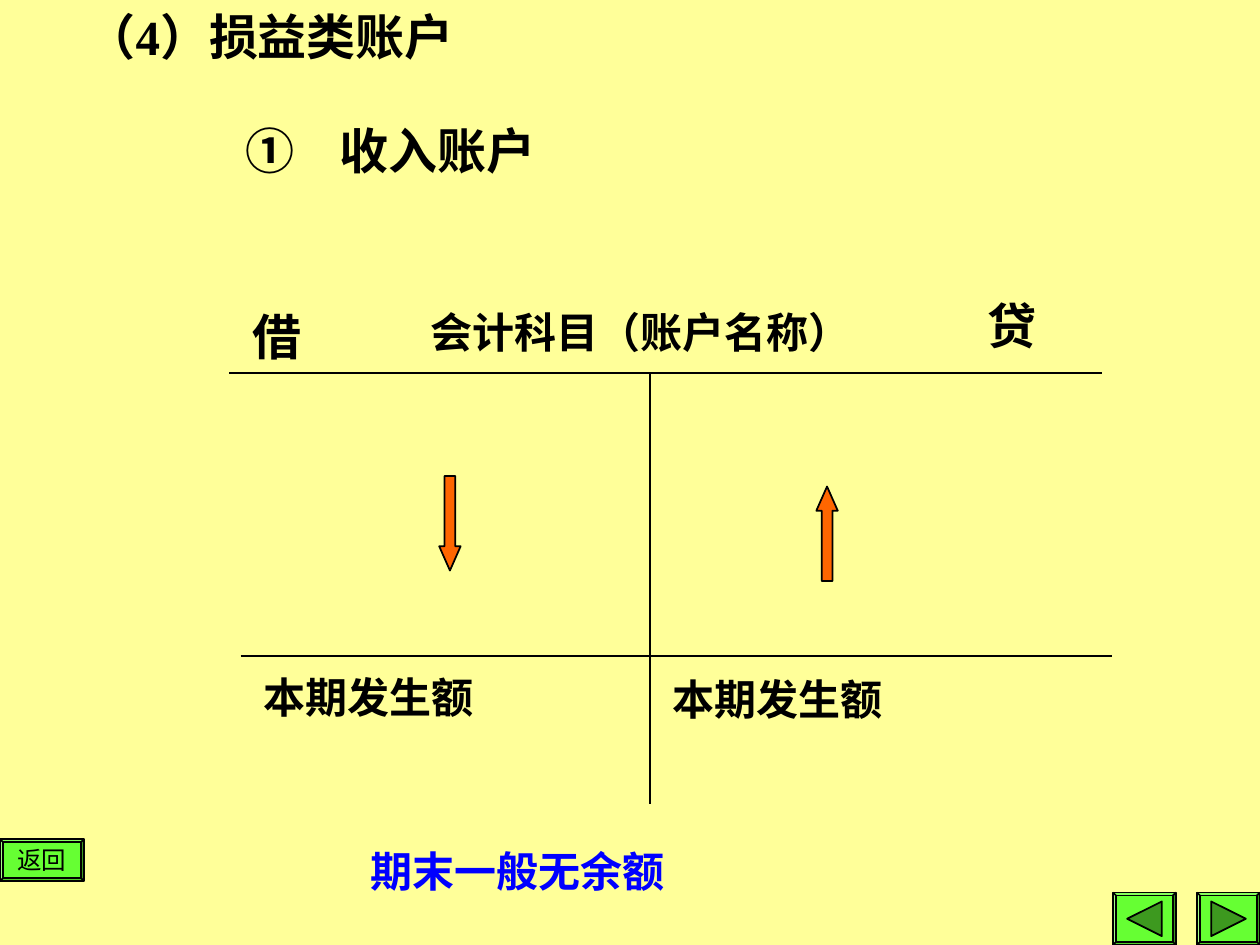
from lxml import etree
from pptx import Presentation
from pptx import util as u
from pptx.dml.color import RGBColor
from pptx.enum import shapes, text
from pptx.oxml.ns import qn

BLACK = RGBColor(0x00, 0x00, 0x00)
BLUE = RGBColor(0x00, 0x00, 0xFF)
ORANGE = RGBColor(0xFF, 0x66, 0x00)
GREEN = RGBColor(0x66, 0xFF, 0x33)
DARK_GREEN = RGBColor(0x3D, 0x99, 0x1F)
CREAM = RGBColor(0xFF, 0xFF, 0x99)
SERIF = "Times New Roman"
BEVEL_WIDTH = 1.8


def add_spans(para, *spans, size=28, color=BLACK, bold=True):
    """Add (words, font name) spans that share one format."""
    for words, name in spans:
        span = para.add_run()
        span.text = words
        span.font.name = name
        span.font.size = u.Pt(size)
        span.font.bold = bold
        span.font.color.rgb = color


def add_text(page, left, top, width, *spans, size=28, color=BLACK, indent=0, tab=None):
    box = page.shapes.add_textbox(u.Pt(left), u.Pt(top), u.Pt(width), u.Pt(size * 1.2 + 7.2))
    frame = box.text_frame
    frame.word_wrap = True
    frame.auto_size = text.MSO_AUTO_SIZE.SHAPE_TO_FIT_TEXT
    para = frame.paragraphs[0]
    properties = para._p.get_or_add_pPr()
    if indent:
        properties.set("marL", str(u.Pt(indent)))
    if tab:
        tabs = etree.SubElement(properties, qn("a:tabLst"))
        etree.SubElement(tabs, qn("a:tab"), pos=str(u.Pt(tab)), algn="l")
    add_spans(para, *spans, size=size, color=color)


def paint(shape, fill):
    shape.shadow.inherit = False
    shape.fill.solid()
    shape.fill.fore_color.rgb = fill
    shape.line.color.rgb = BLACK
    shape.line.width = u.Pt(1)


def add_line(page, x1, y1, x2, y2):
    line = page.shapes.add_connector(
        shapes.MSO_CONNECTOR.STRAIGHT, u.Pt(x1), u.Pt(y1), u.Pt(x2), u.Pt(y2))
    line.line.color.rgb = BLACK
    line.line.width = u.Pt(1)
    etree.SubElement(line._element.spPr, qn("a:effectLst"))


def add_arrow(page, kind, left, top):
    arrow = page.shapes.add_shape(kind, u.Pt(left), u.Pt(top), u.Pt(12.24), u.Pt(54))
    arrow.adjustments[0] = 0.5
    arrow.adjustments[1] = 1.13
    paint(arrow, ORANGE)


def add_button(page, left, top, width, height):
    button = page.shapes.add_shape(
        shapes.MSO_SHAPE.BEVEL, u.Pt(left), u.Pt(top), u.Pt(width), u.Pt(height))
    button.adjustments[0] = BEVEL_WIDTH / height
    paint(button, GREEN)
    return button


def add_return_button(page):
    frame = add_button(page, 0, 479.5, 48, 24).text_frame
    frame.word_wrap = False
    frame.vertical_anchor = text.MSO_ANCHOR.MIDDLE
    para = frame.paragraphs[0]
    para.alignment = text.PP_ALIGN.CENTER
    add_spans(para, ("返回", SERIF), size=14, bold=False)


def add_page_button(page, left, direction):
    """Add a button whose triangle points left (-1) or right (1)."""
    top, width, height, reach = 510, 36, 30, 9.9
    add_button(page, left, top, width, height)
    x, y = left + width / 2, top + height / 2
    back = x - direction * reach
    outline = page.shapes.build_freeform(u.Pt(x + direction * reach), u.Pt(y))
    outline.add_line_segments(
        [(u.Pt(back), u.Pt(y - reach)), (u.Pt(back), u.Pt(y + reach))], close=True)
    paint(outline.convert_to_shape(), DARK_GREEN)


def main():
    deck = Presentation()
    deck.slide_width, deck.slide_height = u.Pt(720), u.Pt(540)
    page = deck.slides.add_slide(deck.slide_layouts[6])
    page.background.fill.solid()
    page.background.fill.fore_color.rgb = CREAM

    add_text(page, 42.5, 0, 420, ("（4）损益类账户", SERIF))
    add_text(page, 133, 65.5, 420, ("①\t收入", "Arial"), ("账户", SERIF), tab=54)

    add_line(page, 131, 213, 629.5, 213)
    add_line(page, 371.5, 213, 371.5, 459.5)
    add_line(page, 137.5, 375, 635.5, 375)

    add_text(page, 137.5, 171.5, 42, ("借", SERIF))
    add_text(page, 239, 171.5, 258, ("会计科目（账户名称）", SERIF), size=24)
    add_text(page, 557.5, 165.5, 42, ("贷", SERIF))

    add_arrow(page, shapes.MSO_SHAPE.DOWN_ARROW, 251, 272)
    add_arrow(page, shapes.MSO_SHAPE.UP_ARROW, 466.5, 278)
    for left, top, width in ((143.5, 380, 216), (377, 381.5, 168)):
        add_text(page, left, top, width, ("本期发生额", SERIF), size=24)

    add_text(page, 161.5, 479.5, 420, ("期末一般无余额", SERIF),
             size=24, color=BLUE, indent=43)
    add_return_button(page)
    add_page_button(page, 636, -1)
    add_page_button(page, 684, 1)
    deck.save("out.pptx")


if __name__ == "__main__":
    main()
